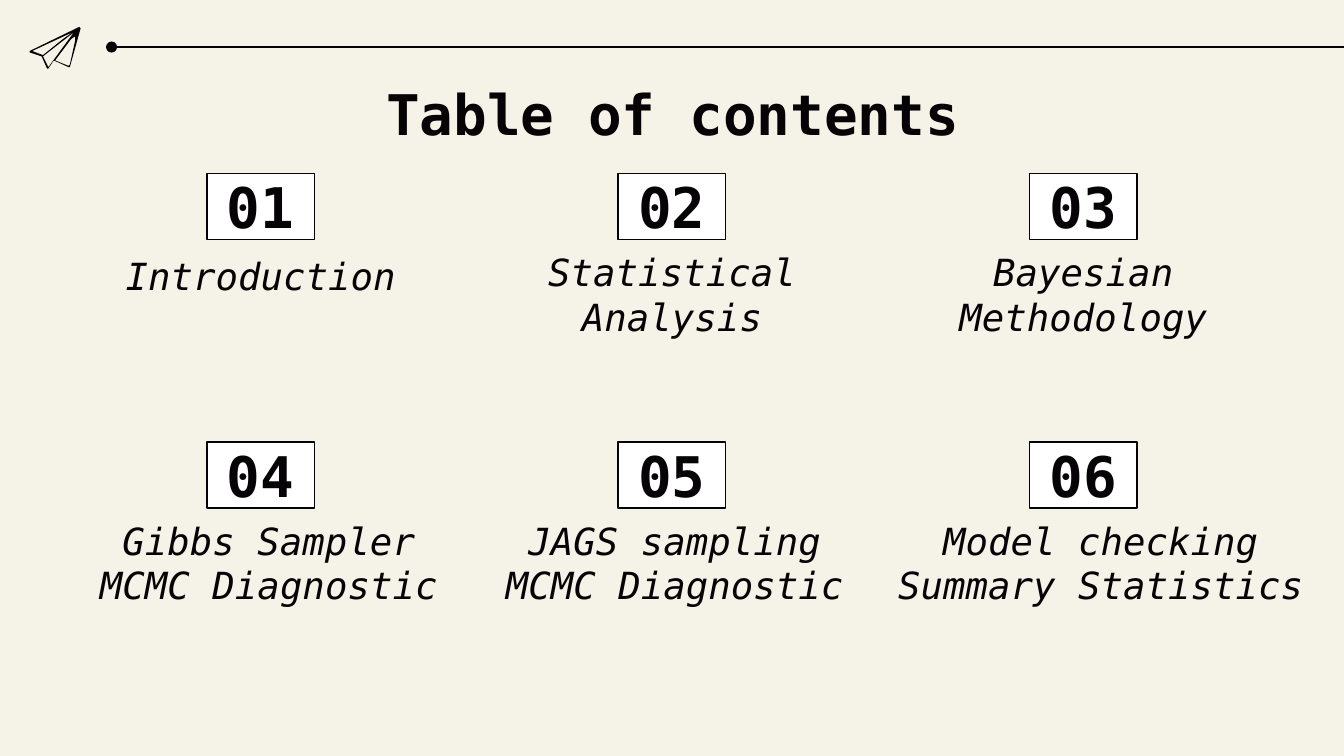
from lxml.etree import SubElement
from pptx import Presentation
from pptx.dml.color import RGBColor
from pptx.enum.shapes import MSO_CONNECTOR as Connector, MSO_SHAPE as Shape
from pptx.enum.text import MSO_ANCHOR as Anchor, PP_ALIGN as Align
from pptx.oxml.ns import qn
from pptx.util import Inches, Pt

HEADING = "Table of contents"
# Each chapter: its label's lines, then the label's width and shift from the column centre
CHAPTERS = [
    (["Introduction"], 2.32, 0),
    (["Statistical Analysis"], 2.32, 0),
    (["Bayesian", "Methodology"], 2.32, 0),
    (["Gibbs Sampler", "MCMC Diagnostic"], 3.01, 0.06),
    (["JAGS sampling", "MCMC Diagnostic"], 3.01, 0.02),
    (["Model checking", "Summary Statistics"], 3.39, 0.13),
]
# Paper plane: the silhouette, then its three open panels
PLANE = [
    [(0.4, 0.45), (0.36, 0.51), (0.35, 0.51), (0.31, 0.42), (0.22, 0.39), (0.22, 0.38),
     (0.59, 0.2), (0.6, 0.21), (0.52, 0.5), (0.51, 0.5)],
    [(0.51, 0.49), (0.52, 0.48), (0.56, 0.3), (0.56, 0.27), (0.53, 0.29), (0.41, 0.45)],
    [(0.36, 0.5), (0.55, 0.24), (0.32, 0.42)],
    [(0.54, 0.24), (0.24, 0.38), (0.32, 0.41), (0.47, 0.29)],
]
COLORS = {name: RGBColor.from_string(value) for name, value in
          {"paper": "F5F3E7", "ink": "050305", "box": "FFFFFF"}.items()}
HEADING_FONT = {"name": "DejaVu Sans Mono", "size": Pt(30), "bold": True}
LABEL_FONT = {"name": "DejaVu Sans Mono", "size": Pt(20), "italic": True}

WIDTH = 10
HEIGHT = WIDTH * 9 / 16
COLUMNS, COLUMN_GAP, ROW_GAP = 3, 3.06, 2
FIRST_ROW = 1.29
BOX_WIDTH, BOX_HEIGHT = 0.8, 0.49
LABEL_HEIGHTS = {1: 0.54, 2: 0.84}


def inches(*lengths):
    return [Inches(length) for length in lengths]


def write(shape, lines, font_format, anchor):
    frame = shape.text_frame
    frame.word_wrap = True
    frame.vertical_anchor = anchor
    for side in ("left", "right", "top", "bottom"):
        setattr(frame, f"margin_{side}", Inches(0.1))
    frame.text = "\n".join(lines)
    for paragraph in frame.paragraphs:
        paragraph.alignment = Align.CENTER
        for key, value in font_format.items():
            setattr(paragraph.font, key, value)
        paragraph.font.color.rgb = COLORS["ink"]


def fill(shape, color):
    shape.shadow.inherit = False
    shape.fill.solid()
    shape.fill.fore_color.rgb = COLORS[color]


def outline(shape):
    shape.line.color.rgb = COLORS["ink"]
    shape.line.width = Pt(0.75)


def add_rule(shapes):
    rule = shapes.add_connector(Connector.STRAIGHT, *inches(0.83, 0.35, WIDTH, 0.35))
    outline(rule)
    SubElement(rule._element.spPr.find(qn("a:ln")), qn("a:headEnd"), type="oval")
    SubElement(rule._element.spPr, qn("a:effectLst"))


def add_plane(shapes):
    silhouette, *panels = [[inches(*point) for point in contour] for contour in PLANE]
    builder = shapes.build_freeform(*silhouette[0])
    builder.add_line_segments(silhouette[1:])
    for panel in panels:
        builder.move_to(*panel[0])
        builder.add_line_segments(panel[1:])
    plane = builder.convert_to_shape()
    fill(plane, "ink")
    plane.line.fill.background()


def add_chapter(shapes, index, lines, label_width, shift):
    row, column = divmod(index, COLUMNS)
    center = WIDTH / 2 + (column - 1) * COLUMN_GAP
    top = FIRST_ROW + row * ROW_GAP
    number = shapes.add_shape(
        Shape.RECTANGLE, *inches(center - BOX_WIDTH / 2, top, BOX_WIDTH, BOX_HEIGHT))
    fill(number, "box")
    outline(number)
    write(number, [f"{index + 1:02}"], HEADING_FONT, Anchor.MIDDLE)
    label_rows = 1 if lines == ["Introduction"] else 2
    label = shapes.add_textbox(*inches(
        center + shift - label_width / 2, top + BOX_HEIGHT,
        label_width, LABEL_HEIGHTS[label_rows]))
    write(label, lines, LABEL_FONT, Anchor.BOTTOM)


def main():
    deck = Presentation()
    deck.slide_width, deck.slide_height = inches(WIDTH, HEIGHT)
    slide = deck.slides.add_slide(deck.slide_layouts[6])
    slide.background.fill.solid()
    slide.background.fill.fore_color.rgb = COLORS["paper"]
    add_rule(slide.shapes)
    add_plane(slide.shapes)
    heading = slide.shapes.add_textbox(*inches(0.79, 0.49, 8.43, 0.63))
    write(heading, [HEADING], HEADING_FONT, Anchor.TOP)
    for index, chapter in enumerate(CHAPTERS):
        add_chapter(slide.shapes, index, *chapter)
    deck.save("out.pptx")


if __name__ == "__main__":
    main()
